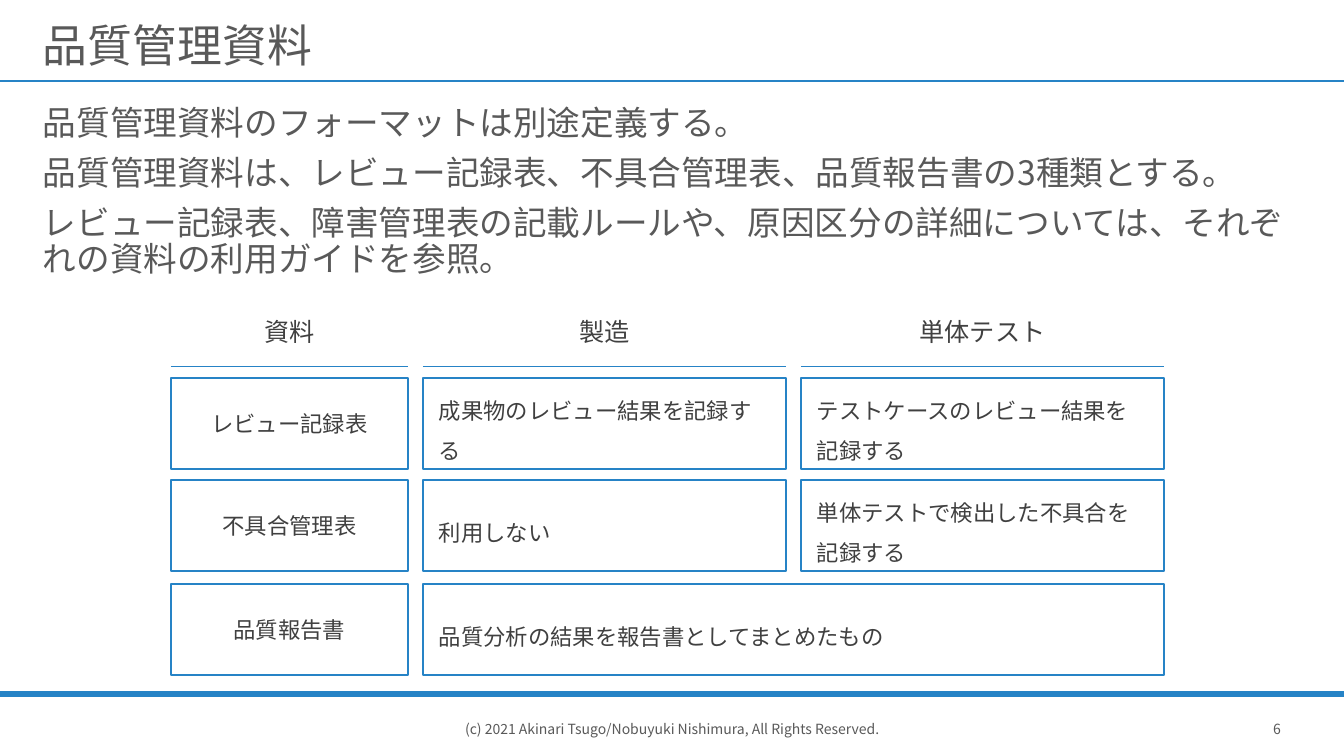
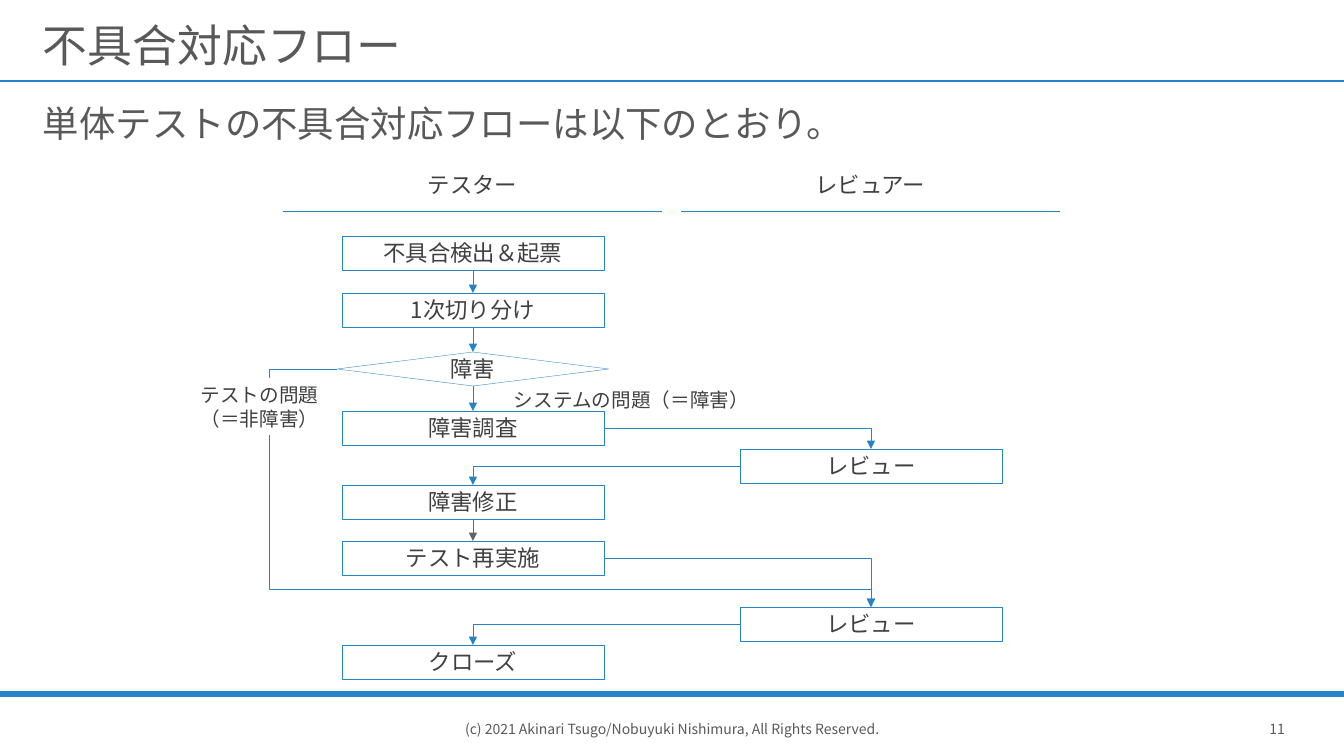
from dataclasses import dataclass

from pptx import Presentation
from pptx.dml.color import RGBColor
from pptx.enum.shapes import MSO_CONNECTOR, MSO_SHAPE
from pptx.enum.text import MSO_ANCHOR, PP_ALIGN
from pptx.oxml.ns import qn
from pptx.oxml.xmlchemy import OxmlElement
from pptx.util import Pt

PX = 914400 / 100.8
WIDTH, HEIGHT = 1344, 756
STRAIGHT, ELBOW = MSO_CONNECTOR.STRAIGHT, MSO_CONNECTOR.ELBOW
RECT, DECISION = MSO_SHAPE.RECTANGLE, MSO_SHAPE.FLOWCHART_DECISION
TOP_ANCHOR, MIDDLE = MSO_ANCHOR.TOP, MSO_ANCHOR.MIDDLE
LEFT_ALIGN, CENTER = PP_ALIGN.LEFT, PP_ALIGN.CENTER
TOP, LEFT, BOTTOM, RIGHT = range(4)
FOOTER = "(c) 2021 Akinari Tsugo/Nobuyuki Nishimura, All Rights Reserved."


@dataclass(frozen=True)
class Theme:
    font: str = "Noto Sans CJK JP"
    accent: str = "2683C6"
    heading: str = "595959"
    ink: str = "404040"
    paper: str = "FFFFFF"
    gray: str = "646464"
    title: int = 32
    lead: int = 26
    body: int = 24
    header: int = 18
    item: int = 16
    label: int = 14
    footer: int = 10
    hairline: float = 0.25
    arrow: float = 0.5
    rule: float = 1
    band: float = 4.5


def px(*lengths):
    return [round(length * PX) for length in lengths]


class Deck:
    def __init__(self, theme):
        self.theme = theme
        self.presentation = Presentation()
        self.presentation.slide_width, self.presentation.slide_height = px(WIDTH, HEIGHT)

    def start(self, title, number):
        theme = self.theme
        layout = self.presentation.slide_layouts[6]
        self.shapes = self.presentation.slides.add_slide(layout).shapes
        self.rule(0, WIDTH, 81, theme.rule)
        self.rule(0, WIDTH, 694, theme.band)
        footer = {"size": theme.footer, "color": theme.heading, "align": CENTER, "anchor": MIDDLE}
        self.text((1244, 701, 66, 55), [number], **footer)
        self.text((452, 701, 440, 55), [FOOTER], **footer)
        self.text((33, 6, 1277, 70), [title], theme.title, theme.heading, anchor=MIDDLE,
                  insets=(10, 20, 10, 5), spacing=0.9)

    def body(self, paragraphs, size):
        self.text((33, 101, 1277, 74), paragraphs, size, self.theme.heading,
                  spacing=0.9, before=10)

    def text(self, area, paragraphs, size, color=None, **layout):
        holder = self.shapes.add_textbox(*px(*area))
        self.typeset(holder.text_frame, paragraphs, size, color, **layout)

    def box(self, area, paragraphs, size, border=None, outline=RECT, align=CENTER,
            anchor=MIDDLE, **layout):
        shape = self.shapes.add_shape(outline, *px(*area))
        shape.shadow.inherit = False
        shape.fill.solid()
        shape.fill.fore_color.rgb = RGBColor.from_string(self.theme.paper)
        if border:
            self.stroke(shape.line, border)
        else:
            shape.line.fill.background()
        self.typeset(shape.text_frame, paragraphs, size, align=align, anchor=anchor, **layout)
        return shape

    def typeset(self, frame, paragraphs, size, color=None, align=LEFT_ALIGN,
                anchor=TOP_ANCHOR, insets=(10, 5, 10, 5), spacing=None, before=None):
        frame.word_wrap = True
        frame.vertical_anchor = anchor
        (frame.margin_left, frame.margin_top,
         frame.margin_right, frame.margin_bottom) = px(*insets)
        for index, content in enumerate(paragraphs):
            paragraph = frame.add_paragraph() if index else frame.paragraphs[0]
            paragraph.alignment = align
            if spacing:
                paragraph.line_spacing = spacing
            if before:
                paragraph.space_before = Pt(before)
            run = paragraph.add_run()
            run.text = content
            run.font.size = Pt(size)
            run.font.name = self.theme.font
            run.font.color.rgb = RGBColor.from_string(color or self.theme.ink)
            east_asian = OxmlElement("a:ea")
            east_asian.set("typeface", self.theme.font)
            run.font._element.find(qn("a:latin")).addnext(east_asian)

    def stroke(self, line, width, color=None):
        line.color.rgb = RGBColor.from_string(color or self.theme.accent)
        line.width = Pt(width)

    def connector(self, kind, ends, width, color=None):
        connector = self.shapes.add_connector(kind, *px(*ends))
        self.stroke(connector.line, width, color)
        connector.element.spPr.append(OxmlElement("a:effectLst"))
        return connector

    def rule(self, left, right, y, width):
        self.connector(STRAIGHT, (left, y, right, y), width)

    def arrow(self, source, exit_side, target, color=None, bend=None, adjustments=()):
        arrow = self.connector(ELBOW if bend else STRAIGHT, (0, 0, 0, 0),
                               self.theme.arrow, color)
        arrow.begin_connect(source, exit_side)
        arrow.end_connect(target, TOP)
        head = OxmlElement("a:tailEnd")
        head.set("type", "triangle")
        arrow.element.spPr.find(qn("a:ln")).append(head)
        if bend:
            geometry = arrow.element.spPr.find(qn("a:prstGeom"))
            geometry.set("prst", bend)
            for index, value in enumerate(adjustments, 1):
                guide = OxmlElement("a:gd")
                guide.set("name", f"adj{index}")
                guide.set("fmla", f"val {round(value * 100000)}")
                geometry.find(qn("a:avLst")).append(guide)


def quality_documents(deck):
    theme = deck.theme
    deck.start("品質管理資料", "6")
    deck.body([
        "品質管理資料のフォーマットは別途定義する。",
        "品質管理資料は、レビュー記録表、不具合管理表、品質報告書の3種類とする。",
        "レビュー記録表、障害管理表の記載ルールや、原因区分の詳細については、"
        "それぞれの資料の利用ガイドを参照。",
    ], theme.body)

    gap, row_height = 15, 91
    columns = [("資料", 237), ("製造", 363), ("単体テスト", 363)]
    lefts = []
    left = 171
    for heading, width in columns:
        lefts.append(left)
        deck.text((left, 308, width, 46), [heading], theme.header, align=CENTER,
                  insets=(24, 8, 24, 8))
        deck.rule(left, left + width, 366, theme.hairline)
        left += width + gap
    right = left - gap

    rows = [
        (378, "レビュー記録表",
         ["成果物のレビュー結果を記録する", "テストケースのレビュー結果を記録する"]),
        (480, "不具合管理表", ["利用しない", "単体テストで検出した不具合を記録する"]),
        (584, "品質報告書", ["品質分析の結果を報告書としてまとめたもの"]),
    ]
    for top, document, uses in rows:
        deck.box((lefts[0], top, columns[0][1], row_height), [document], theme.item, theme.rule)
        for index, use in enumerate(uses, 1):
            width = right - lefts[1] if len(uses) == 1 else columns[index][1]
            deck.box((lefts[index], top, width, row_height), [use], theme.item, theme.rule,
                     align=LEFT_ALIGN, insets=(16, 8, 16, 8), spacing=1.5)


def defect_flow(deck):
    theme = deck.theme
    deck.start("不具合対応フロー", "11")
    deck.body(["単体テストの不具合対応フローは以下のとおり。"], theme.lead)

    tester, reviewer = 283, 681
    lane_width, step_width, step_height, step_indent = 379, 262, 34, 59
    for lane, role in [(tester, "テスター"), (reviewer, "レビュアー")]:
        deck.box((lane, 159, lane_width, 51), [role], theme.item, insets=(24, 8, 24, 8))
        deck.rule(lane, lane + lane_width, 211, theme.hairline)

    def step(lane, top, name):
        return deck.box((lane + step_indent, top, step_width, step_height), [name],
                        theme.item, theme.hairline, insets=(24, 8, 24, 8))

    report = step(tester, 236, "不具合検出＆起票")
    triage = step(tester, 293, "1次切り分け")
    decision = deck.box((337, 352, 272, step_height), ["障害"], theme.item, theme.hairline,
                        DECISION, insets=(0, 0, 0, 0))
    investigate = step(tester, 411, "障害調査")
    fix_review = step(reviewer, 449, "レビュー")
    fix = step(tester, 485, "障害修正")
    retest = step(tester, 541, "テスト再実施")
    final_review = step(reviewer, 607, "レビュー")
    close = step(tester, 645, "クローズ")

    for source, target in [(report, triage), (triage, decision), (decision, investigate)]:
        deck.arrow(source, BOTTOM, target)
    deck.arrow(fix, BOTTOM, retest, theme.gray)
    for source, side, target in [
        (investigate, RIGHT, fix_review),
        (fix_review, LEFT, fix),
        (retest, RIGHT, final_review),
        (final_review, LEFT, close),
    ]:
        deck.arrow(source, side, target, bend="bentConnector2")
    deck.arrow(decision, LEFT, final_review, bend="bentConnector4", adjustments=(-0.126, 0.924))

    deck.text((504, 383, 270, 34), ["システムの問題（＝障害）"], theme.label)
    deck.box((198, 378, 123, 57), ["テストの問題", "（＝非障害）"], theme.label,
             anchor=TOP_ANCHOR, insets=(0, 5, 0, 5))


def main():
    deck = Deck(Theme())
    quality_documents(deck)
    defect_flow(deck)
    deck.presentation.save("out.pptx")


if __name__ == "__main__":
    main()
